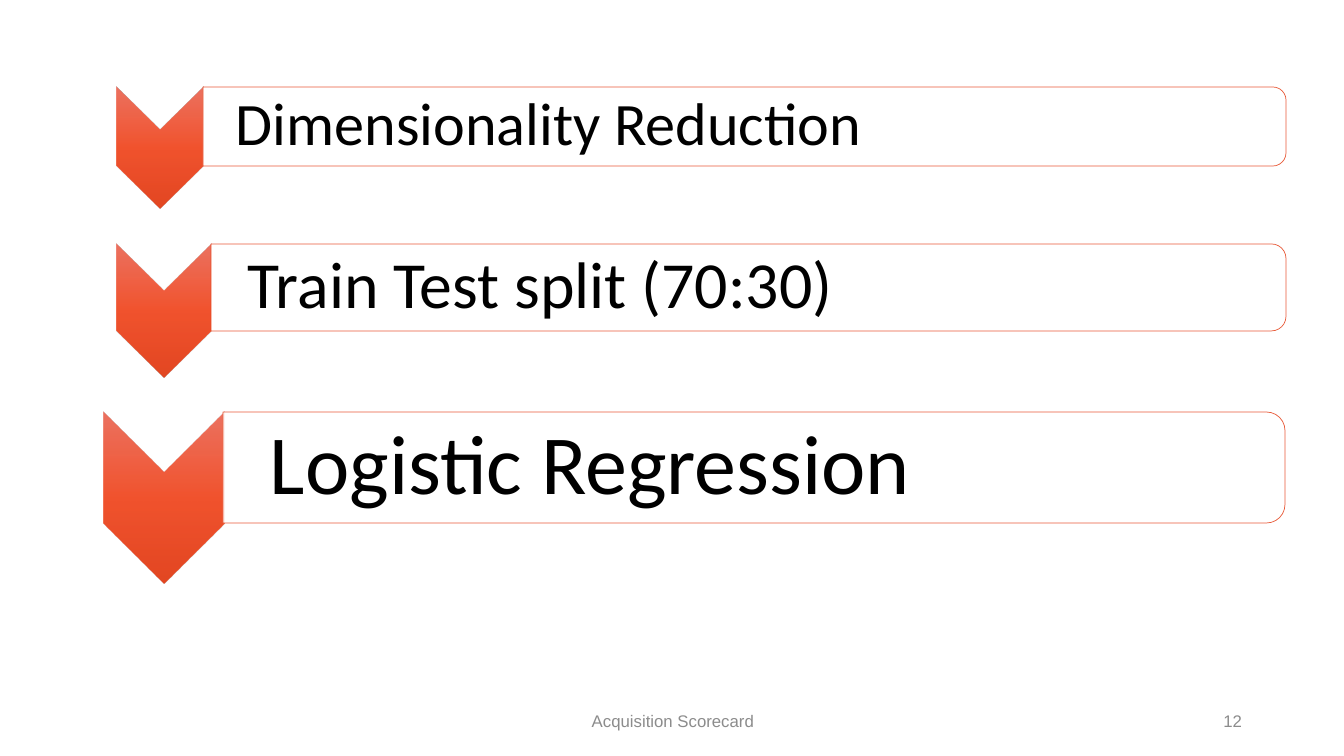
from dataclasses import dataclass

from lxml import etree
from pptx import Presentation
from pptx.dml.color import RGBColor
from pptx.enum.shapes import MSO_SHAPE
from pptx.enum.text import MSO_ANCHOR, PP_ALIGN
from pptx.oxml.ns import qn
from pptx.util import Emu, Pt

CHEVRON, ROUNDED_BAR = MSO_SHAPE.CHEVRON, MSO_SHAPE.ROUND_2_SAME_RECTANGLE
MIDDLE = MSO_ANCHOR.MIDDLE
LEFT, CENTER, RIGHT = PP_ALIGN.LEFT, PP_ALIGN.CENTER, PP_ALIGN.RIGHT

PAGE_WIDTH, PAGE_HEIGHT = 1344, 756
EMU_PER_PIXEL = 12192000 / PAGE_WIDTH
CORNER_TRIM = 0.05  # text area inset, as a share of the bar height
HANGING = 31


@dataclass(frozen=True)
class Theme:
    gradient: tuple = ((0, "EB6451"), (50, "F04219"), (100, "E0340C"))
    outline: str = "E64823"
    panel: str = "FFFFFF"
    ink: str = "000000"
    muted: str = "8C8C8C"
    opacity: int = 90
    outline_width: float = 0.5
    body_font: str = "Calibri"
    footer_font: str = "Arial"
    footer_size: int = 12


@dataclass(frozen=True)
class Box:
    left: float
    top: float
    width: float
    height: float

    def emu(self) -> tuple:
        return tuple(px(n) for n in (self.left, self.top, self.width, self.height))

    def turned(self) -> "Box":
        """Frame that covers this box after a quarter turn."""
        shift = (self.width - self.height) / 2
        return Box(self.left + shift, self.top - shift, self.height, self.width)

    def trimmed(self, inset: float) -> "Box":
        return Box(self.left, self.top + inset,
                   self.width - inset, self.height - 2 * inset)


@dataclass(frozen=True)
class Step:
    title: str
    size: int
    chevron: Box
    bar: Box
    indent: int
    padding: int


THEME = Theme()
STEPS = (
    Step("Dimensionality Reduction", 43,
         Box(117, 87, 86, 122), Box(203, 87, 1083, 79), 33, 3),
    Step("Train Test split (70:30)", 47,
         Box(117, 244, 94, 134), Box(211, 244, 1075, 87), 37, 3),
    Step("Logistic Regression", 60,
         Box(104, 412, 120, 171), Box(223, 412, 1062, 111), 47, 4),
)


def px(pixels: float) -> Emu:
    return Emu(round(pixels * EMU_PER_PIXEL))


def set_alpha(color_element) -> None:
    etree.SubElement(color_element, qn("a:alpha"), val=str(THEME.opacity * 1000))


def add_turned_shape(shapes, kind, box: Box):
    shape = shapes.add_shape(kind, *box.turned().emu())
    shape.rotation = 90
    shape.shadow.inherit = False
    return shape


def add_chevron(shapes, box: Box) -> None:
    shape = add_turned_shape(shapes, CHEVRON, box)
    shape.line.fill.background()
    shape.fill.gradient()
    shape.fill.gradient_angle = 0
    stops = shape.element.spPr.find(".//" + qn("a:gsLst"))
    for stop in list(stops):
        stops.remove(stop)
    for position, color in THEME.gradient:
        stop = etree.SubElement(stops, qn("a:gs"), pos=str(position * 1000))
        set_alpha(etree.SubElement(stop, qn("a:srgbClr"), val=color))


def add_bar(shapes, box: Box) -> None:
    shape = add_turned_shape(shapes, ROUNDED_BAR, box)
    shape.fill.solid()
    shape.fill.fore_color.rgb = RGBColor.from_string(THEME.panel)
    shape.line.color.rgb = RGBColor.from_string(THEME.outline)
    shape.line.width = Pt(THEME.outline_width)
    for color_element in shape.element.spPr.iter(qn("a:srgbClr")):
        set_alpha(color_element)


def add_text(shapes, box: Box, text: str, *, font: str, size: int, color: str,
             align=LEFT, insets: tuple = (10, 5, 10, 5)):
    frame = shapes.add_textbox(*box.emu()).text_frame
    frame.word_wrap = True
    frame.vertical_anchor = MIDDLE
    (frame.margin_left, frame.margin_top,
     frame.margin_right, frame.margin_bottom) = map(px, insets)
    para = frame.paragraphs[0]
    para.alignment = align
    span = para.add_run()
    span.text = text
    span.font.name = font
    span.font.size = Pt(size)
    span.font.color.rgb = RGBColor.from_string(color)
    return para


def add_step(page, step: Step) -> None:
    shapes = page.shapes.add_group_shape().shapes
    add_chevron(shapes, step.chevron)
    add_bar(shapes, step.bar)
    para = add_text(shapes, step.bar.trimmed(step.bar.height * CORNER_TRIM),
                    step.title, font=THEME.body_font, size=step.size,
                    color=THEME.ink, insets=(step.indent,) + (step.padding,) * 3)
    para.level = 1
    para.line_spacing = 0.9
    properties = para._p.get_or_add_pPr()
    properties.set("marL", str(px(HANGING)))
    properties.set("indent", str(px(-HANGING)))


deck = Presentation()
deck.slide_width, deck.slide_height = px(PAGE_WIDTH), px(PAGE_HEIGHT)
page = deck.slides.add_slide(deck.slide_layouts[6])

# Footer and page number
for box, text, align in (
    (Box(446, 701, 454, 40), "Acquisition Scorecard", CENTER),
    (Box(950, 701, 302, 40), "12", RIGHT),
):
    add_text(page.shapes, box, text, font=THEME.footer_font,
             size=THEME.footer_size, color=THEME.muted, align=align)

# Process steps
for step in STEPS:
    add_step(page, step)

deck.save("out.pptx")
